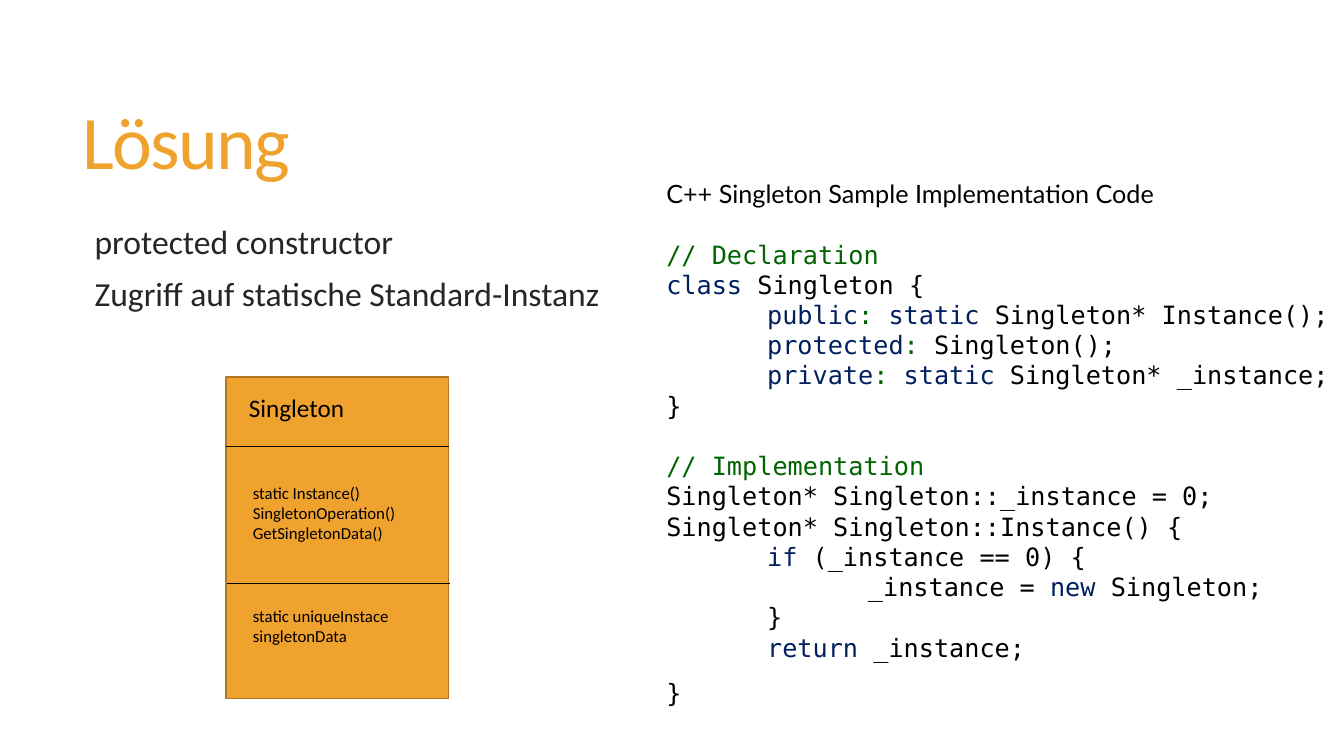
from collections import namedtuple
from dataclasses import dataclass

from lxml.etree import SubElement
from pptx import Presentation
from pptx.dml.color import RGBColor
from pptx.enum.shapes import MSO_CONNECTOR as Connector, MSO_SHAPE as Shape
from pptx.enum.text import MSO_ANCHOR as Anchor
from pptx.oxml.ns import qn
from pptx.util import Inches, Pt

Box = namedtuple("Box", "left top width height")
Style = namedtuple("Style", "size font color")


@dataclass(frozen=True)
class Theme:
    """Colours, fonts and type sizes of the slide."""

    accent: str = "F0A22E"
    border: str = "B27822"
    ink: str = "000000"
    comment: str = "006400"
    keyword: str = "002060"
    code_font: str = "DejaVu Sans Mono"
    code_size: float = 18
    code_pitch: float = 21.6
    title: Style = Style(54, "Calibri", "F0A22E")
    body: Style = Style(24, "Calibri", "262626")
    class_name: Style = Style(18, "Calibri", "000000")
    member: Style = Style(12, "Calibri", "000000")
    heading: Style = Style(18, "Lato", "000000")


THEME = Theme()
CODE_COLORS = {"c": THEME.comment, "k": THEME.keyword, "t": THEME.ink}

CODE = [
    (0, 21.6, [("c", "// Declaration")]),
    (0, 0, [("k", "class "), ("t", "Singleton {")]),
    (1, 0, [("k", "public"), ("c", ": "), ("k", "static "), ("t", "Singleton* Instance();")]),
    (1, 0, [("k", "protected"), ("c", ": "), ("t", "Singleton();")]),
    (1, 0, [("k", "private"), ("c", ": "), ("k", "static "), ("t", "Singleton* _instance;")]),
    (0, 0, [("t", "}")]),
    (0, 21.6, [("c", "// Implementation")]),
    (0, 0, [("t", "Singleton* Singleton::_instance = 0;")]),
    (0, 0, [("t", "Singleton* Singleton::Instance() {")]),
    (1, 0, [("k", "if "), ("t", "(_instance == 0) {")]),
    (2, 0, [("t", "_instance = "), ("k", "new "), ("t", "Singleton;")]),
    (1, 0, [("t", "}")]),
    (1, 0, [("k", "return "), ("t", "_instance;")]),
    (0, 10.5, [("t", "}")]),
]


def style_span(span, style):
    """Apply size, font and colour to one run."""
    span.font.size = Pt(style.size)
    span.font.name = style.font
    span.font.color.rgb = RGBColor.from_string(style.color)


def add_text(shapes, box, lines, style):
    """Add a wrapping text box with one paragraph per line."""
    frame = shapes.add_textbox(*map(Inches, box)).text_frame
    frame.word_wrap = True
    frame.text = "\n".join(lines)
    for para in frame.paragraphs:
        for span in para.runs:
            style_span(span, style)
    return frame


def add_title(page, box):
    """Place the slide title, centred vertically in its box."""
    frame = add_text(page.shapes, box, ["Lösung"], THEME.title)
    frame.vertical_anchor = Anchor.MIDDLE
    para = frame.paragraphs[0]
    para.line_spacing = 0.85
    para.runs[0].font._element.set("spc", "-120")


def add_body(page, box):
    """Place the two statements under the title."""
    lines = ["protected constructor", "Zugriff auf statische Standard-Instanz"]
    frame = add_text(page.shapes, box, lines, THEME.body)
    for para in frame.paragraphs:
        para.line_spacing = 0.85
        para.space_before = Pt(13)
        para._p.get_or_add_pPr().set("marL", str(Inches(0.1)))


def add_divider(shapes, left, top, width):
    """Draw one horizontal compartment line."""
    line = shapes.add_connector(
        Connector.STRAIGHT, *map(Inches, (left, top, left + width, top)))
    line.line.color.rgb = RGBColor.from_string(THEME.ink)
    line.line.width = Pt(0.75)
    SubElement(line._element.spPr, qn("a:effectLst"))


def add_class_diagram(page, box):
    """Draw the class box with its name, operations and data."""
    shapes = page.shapes.add_group_shape().shapes
    frame = shapes.add_shape(Shape.RECTANGLE, *map(Inches, box))
    frame.shadow.inherit = False
    frame.fill.solid()
    frame.fill.fore_color.rgb = RGBColor.from_string(THEME.accent)
    frame.line.color.rgb = RGBColor.from_string(THEME.border)
    frame.line.width = Pt(1)
    for shift, drop in [(0, 0.69), (0.01, 2.05)]:
        add_divider(shapes, box.left + shift, box.top + drop, box.width)
    compartments = [
        (0.13, 0.1, 1.93, 0.4, ["Singleton"], THEME.class_name),
        (0.17, 1.0, 2.07, 0.71,
         ["static Instance()", "SingletonOperation()", "GetSingletonData()"], THEME.member),
        (0.17, 2.22, 2.07, 0.5, ["static uniqueInstace", "singletonData"], THEME.member),
    ]
    for left, top, width, height, lines, style in compartments:
        place = Box(box.left + left, box.top + top, width, height)
        add_text(shapes, place, lines, style)


def add_code(page, box):
    """Place the heading and the coloured code listing."""
    heading = "C++ Singleton Sample Implementation Code"
    frame = add_text(page.shapes, box, [heading], THEME.heading)
    for level, gap, spans in CODE:
        para = frame.add_paragraph()
        para.line_spacing = Pt(THEME.code_pitch)
        para.space_before = Pt(gap)
        para._p.get_or_add_pPr().set("marL", str(Inches(level)))
        for kind, text in spans:
            span = para.add_run()
            span.text = text
            style_span(span, Style(THEME.code_size, THEME.code_font, CODE_COLORS[kind]))


def build():
    """Build the deck and save it."""
    deck = Presentation()
    deck.slide_width, deck.slide_height = Inches(13.33), Inches(7.5)
    page = deck.slides.add_slide(deck.slide_layouts[6])
    add_title(page, Box(0.72, 0.55, 11.78, 1.81))
    add_body(page, Box(0.74, 2.2, 11.76, 4.12))
    add_class_diagram(page, Box(2.24, 3.74, 2.21, 3.19))
    add_code(page, Box(6.51, 1.72, 6.82, 5.42))
    deck.save("out.pptx")


build()
